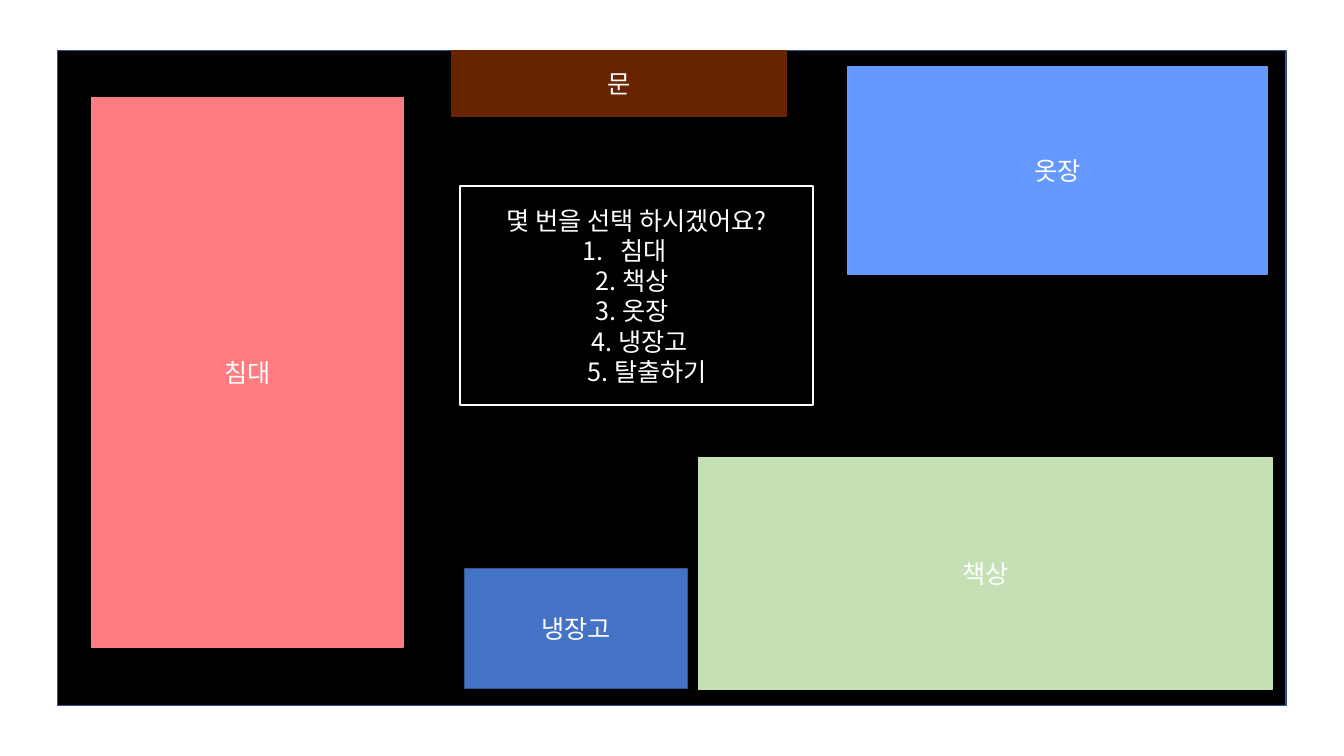
from pptx import Presentation
from pptx.dml.color import RGBColor
from pptx.enum.shapes import MSO_SHAPE as Shape
from pptx.enum.text import MSO_ANCHOR as Anchor, PP_ALIGN as Align
from pptx.oxml.ns import qn
from pptx.util import Pt
from lxml.etree import SubElement

FONT = "Noto Sans CJK KR"
SIZE = 18
WHITE = "FFFFFF"
HANG = 27

ROOM = [
    ("", (41, 36, 877.7, 468), "000000", "325491", 1),
    ("침대", (65.5, 69.8, 222.5, 392.4), "FF7C80", "FF7C80", 1),
    ("책상", (499, 326.9, 409.7, 165.6), "C5E0B4", "C5E0B4", 1),
    ("옷장", (605.5, 47.5, 299.5, 148.3), "6699FF", "6699FF", 1),
    ("문", (322.6, 36, 239, 47.5), "682300", "682300", 0.5),
    ("냉장고", (331.9, 406.1, 159.1, 85.7), "4472C4", "325491", 1),
]
MENU_AREA = (328.3, 133.2, 252.7, 156.2)
MENU = [
    ("몇 번을 선택 하시겠어요?", {}),
    ("침대", {"marL": HANG, "marR": 16.5, "indent": -HANG}),
    ("2. 책상", {"marR": 6.5}),
    ("3. 옷장", {"marR": 6.5}),
    ("4. 냉장고", {"marL": 10.8}),
    ("5. 탈출하기", {"marL": 22}),
]


def color(code):
    return RGBColor.from_string(code)


def add_box(page, area, fill, edge, width):
    box = page.shapes.add_shape(Shape.RECTANGLE, *map(Pt, area))
    box.shadow.inherit = False
    if fill:
        box.fill.solid()
        box.fill.fore_color.rgb = color(fill)
    else:
        box.fill.background()
    box.line.color.rgb = color(edge)
    box.line.width = Pt(width)
    return box


def write(box, lines):
    frame = box.text_frame
    frame.word_wrap = True
    frame.vertical_anchor = Anchor.MIDDLE
    for index, (text, indents) in enumerate(lines):
        para = frame.add_paragraph() if index else frame.paragraphs[0]
        para.alignment = Align.CENTER
        properties = para._p.get_or_add_pPr()
        for name, value in indents.items():
            properties.set(name, str(Pt(value)))
        if "indent" in indents:
            SubElement(properties, qn("a:buFont"), typeface="+mj-lt")
            SubElement(properties, qn("a:buAutoNum"), type="arabicPeriod")
        span = para.add_run()
        span.text = text
        for name, value in {"size": Pt(SIZE), "name": FONT}.items():
            setattr(span.font, name, value)
        span.font.color.rgb = color(WHITE)
        SubElement(span._r.get_or_add_rPr(), qn("a:ea"), typeface=FONT)


def main():
    deck = Presentation()
    deck.slide_width, deck.slide_height = Pt(960), Pt(540)
    page = deck.slides.add_slide(deck.slide_layouts[6])
    for label, area, fill, edge, width in ROOM:
        box = add_box(page, area, fill, edge, width)
        if label:
            write(box, [(label, {})])
    write(add_box(page, MENU_AREA, None, WHITE, 1.5), MENU)
    deck.save("out.pptx")


if __name__ == "__main__":
    main()
